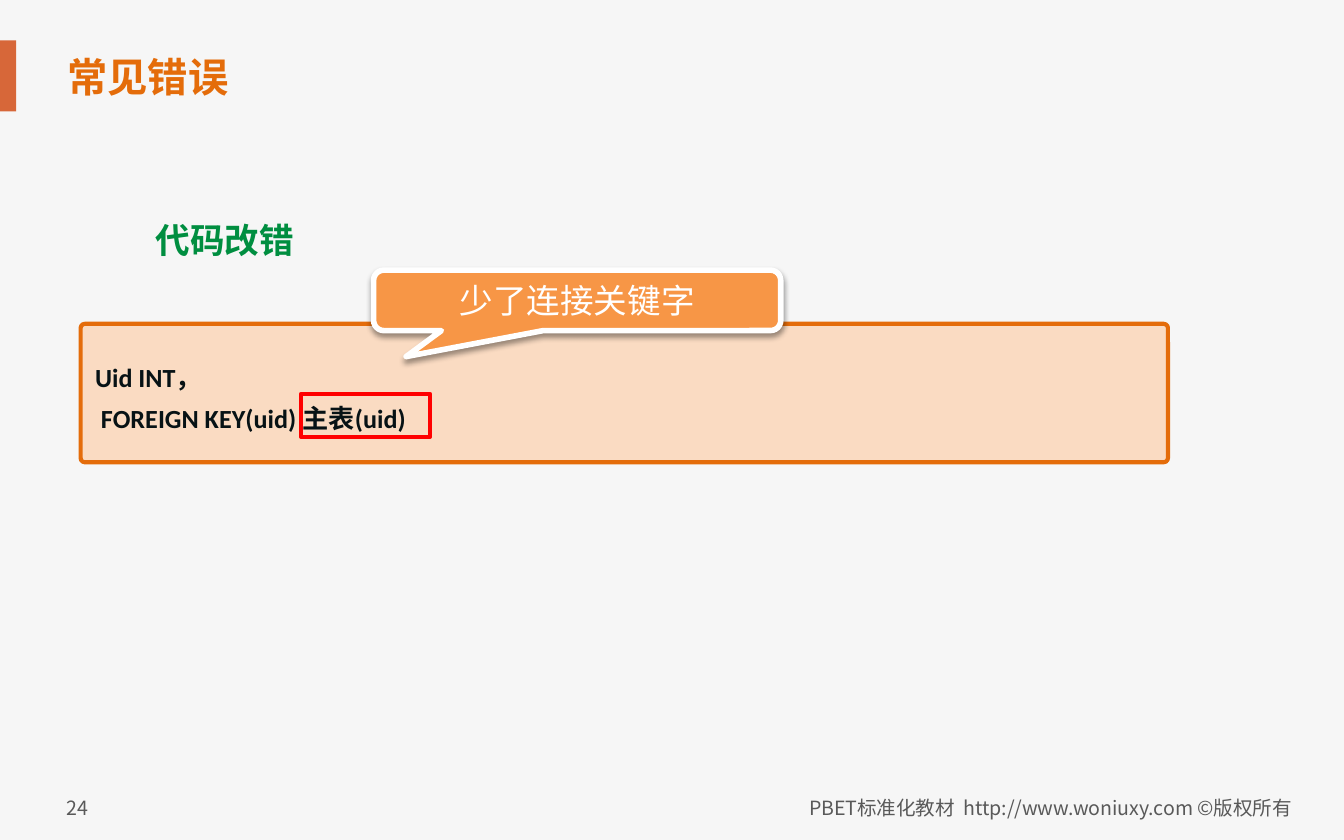
from dataclasses import dataclass
from typing import Optional

from lxml import etree
from pptx import Presentation
from pptx.dml.color import RGBColor
from pptx.enum.shapes import MSO_SHAPE
from pptx.enum.text import MSO_ANCHOR, PP_ALIGN
from pptx.oxml.ns import qn
from pptx.util import Inches, Pt

LEFT, CENTER, RIGHT = PP_ALIGN.LEFT, PP_ALIGN.CENTER, PP_ALIGN.RIGHT
MIDDLE = MSO_ANCHOR.MIDDLE
RECTANGLE = MSO_SHAPE.RECTANGLE
ROUNDED = MSO_SHAPE.ROUNDED_RECTANGLE
CALLOUT = MSO_SHAPE.ROUNDED_RECTANGULAR_CALLOUT
PROCESS = MSO_SHAPE.FLOWCHART_PROCESS

BACKGROUND = RGBColor(0xF6, 0xF6, 0xF6)
ACCENT = RGBColor(0xD7, 0x67, 0x39)
ORANGE = RGBColor(0xE4, 0x6C, 0x0A)
PEACH = RGBColor(0xFC, 0xD5, 0xB5)
CALLOUT_ORANGE = RGBColor(0xF7, 0x96, 0x46)
WHITE = RGBColor(0xFF, 0xFF, 0xFF)
RED = RGBColor(0xFF, 0x00, 0x00)
GREEN = RGBColor(0x00, 0x8E, 0x40)
GRAY = RGBColor(0x59, 0x59, 0x59)
INK = RGBColor(0x07, 0x12, 0x15)

CALIBRI = "Calibri"
NOTO = "Noto Sans CJK SC"


@dataclass
class TextStyle:
    size: float
    color: RGBColor
    font: str = NOTO
    bold: bool = False
    align: PP_ALIGN = LEFT
    line_spacing: Optional[float] = None


@dataclass
class Box:
    kind: MSO_SHAPE
    bounds: tuple[float, float, float, float]
    fill: Optional[RGBColor] = None
    line: Optional[RGBColor] = None
    line_width: float = 0
    adjustments: tuple[float, ...] = ()


@dataclass
class Label:
    text: str
    bounds: tuple[float, float, float, float]
    style: TextStyle


FOOTER = TextStyle(10.5, GRAY)
FOOTER_RIGHT = TextStyle(10.5, GRAY, align=RIGHT)
TITLE = TextStyle(21.6, ORANGE, bold=True)
HEADING = TextStyle(18.5, GREEN, bold=True)
CODE = TextStyle(14, INK, CALIBRI, bold=True, line_spacing=1.3)
NOTE = TextStyle(18, WHITE, CALIBRI, align=CENTER)

SIDE_BAR = Box(RECTANGLE, (0, 0.3, 0.12, 0.53), ACCENT)
CODE_BOX = Box(ROUNDED, (0.6, 2.41, 8.09, 1.03), PEACH, ORANGE, 2.25, (0.03,))
NOTE_BOX = Box(CALLOUT, (2.78, 2.01, 3.03, 0.45), CALLOUT_ORANGE, WHITE, 3,
               (-0.42, 0.93, 0.17))
ERROR_FRAME = Box(PROCESS, (2.24, 2.93, 0.96, 0.32), line=RED, line_width=2.25)

LABELS = (
    Label("PBET标准化教材  http://www.woniuxy.com ©版权所有",
          (4.99, 5.87, 4.72, 0.28), FOOTER_RIGHT),
    Label("24", (0.4, 5.87, 0.4, 0.28), FOOTER),
    Label("代码改错", (1.06, 1.58, 1.6, 0.41), HEADING),
)


def write_text(shape, text: str, style: TextStyle) -> None:
    frame = shape.text_frame
    frame.text = text
    frame.word_wrap = True
    for paragraph in frame.paragraphs:
        paragraph.alignment = style.align
        if style.line_spacing:
            paragraph.line_spacing = style.line_spacing
        for run in paragraph.runs:
            run.font.size = Pt(style.size)
            run.font.bold = style.bold
            run.font.color.rgb = style.color
            run.font.name = style.font
            east_asian = etree.SubElement(run.font._element, qn("a:ea"))
            east_asian.set("typeface", NOTO)


def add_box(slide, box: Box):
    shape = slide.shapes.add_shape(box.kind, *map(Inches, box.bounds))
    shape.shadow.inherit = False
    for index, value in enumerate(box.adjustments):
        shape.adjustments[index] = value
    if box.fill is None:
        shape.fill.background()
    else:
        shape.fill.solid()
        shape.fill.fore_color.rgb = box.fill
    if box.line is None:
        shape.line.fill.background()
    else:
        shape.line.color.rgb = box.line
        shape.line.width = Pt(box.line_width)
    return shape


def add_label(slide, label: Label) -> None:
    text_box = slide.shapes.add_textbox(*map(Inches, label.bounds))
    write_text(text_box, label.text, label.style)


def set_alpha(color_element, percent: int) -> None:
    etree.SubElement(color_element, qn("a:alpha")).set("val", str(percent * 1000))


def add_drop_shadow(shape, blur: float, distance: float, opacity: int) -> None:
    effects = shape._element.spPr.find(qn("a:effectLst"))
    shadow = etree.SubElement(effects, qn("a:outerShdw"), blurRad=str(Pt(blur)),
                              dist=str(Pt(distance)), dir="5400000", rotWithShape="0")
    set_alpha(etree.SubElement(shadow, qn("a:srgbClr"), val="000000"), opacity)


def main() -> None:
    presentation = Presentation()
    presentation.slide_width = Inches(10)
    presentation.slide_height = Inches(6.25)
    slide = presentation.slides.add_slide(presentation.slide_layouts[5])
    slide.background.fill.solid()
    slide.background.fill.fore_color.rgb = BACKGROUND

    title = slide.shapes.title
    title.left, title.top, title.width, title.height = map(Inches, (0.4, 0.33, 7.02, 0.48))
    write_text(title, "常见错误", TITLE)
    title.text_frame.vertical_anchor = MIDDLE

    add_box(slide, SIDE_BAR)
    code = add_box(slide, CODE_BOX)
    set_alpha(code._element.spPr.find(qn("a:solidFill"))[0], 80)
    write_text(code, "Uid INT，\n FOREIGN KEY(uid) 主表(uid)", CODE)
    code.text_frame.vertical_anchor = MIDDLE

    note = add_box(slide, NOTE_BOX)
    add_drop_shadow(note, blur=3.1, distance=1.6, opacity=38)
    write_text(note, "少了连接关键字", NOTE)
    note.text_frame.vertical_anchor = MIDDLE

    add_box(slide, ERROR_FRAME)
    for label in LABELS:
        add_label(slide, label)

    presentation.save("out.pptx")


if __name__ == "__main__":
    main()
